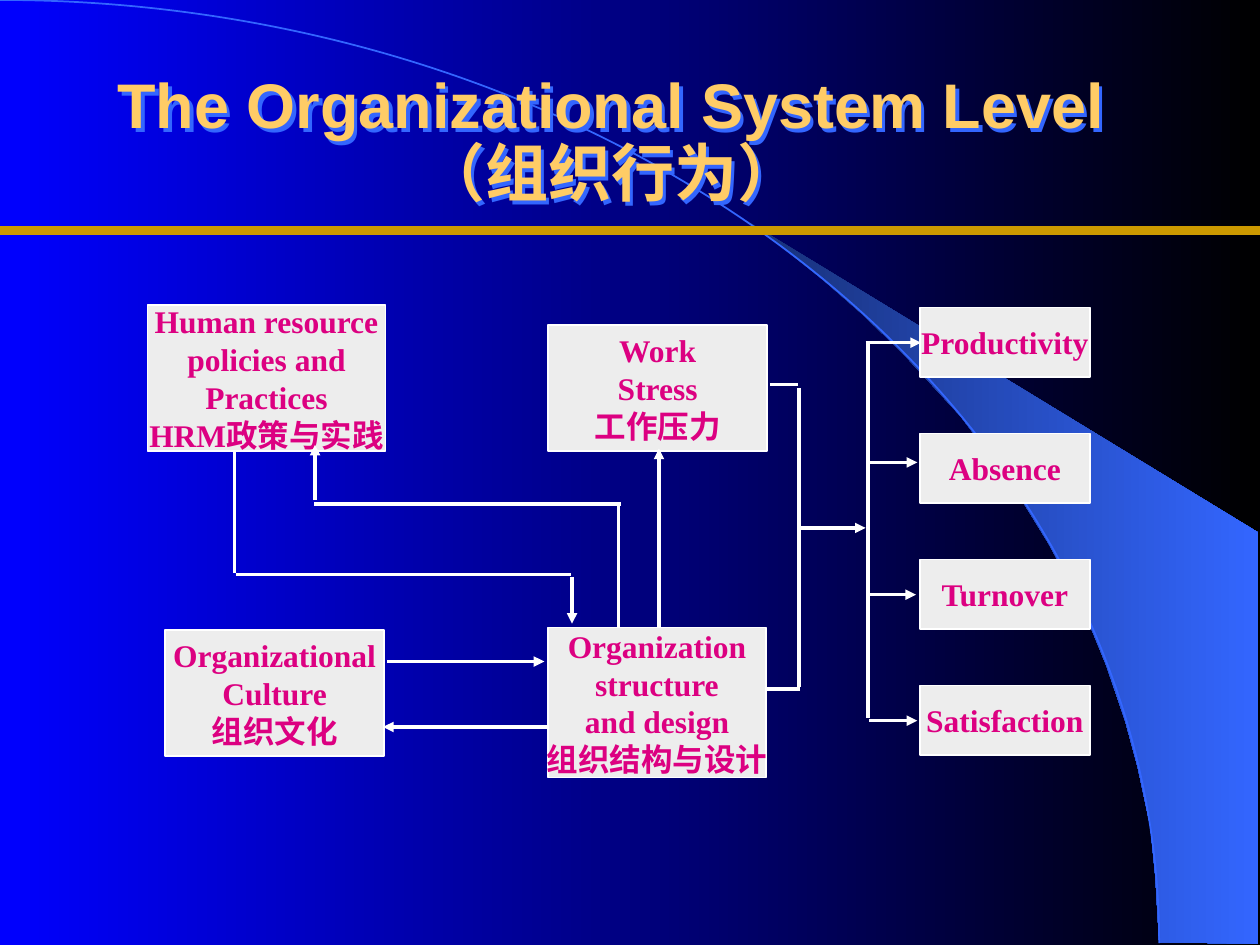
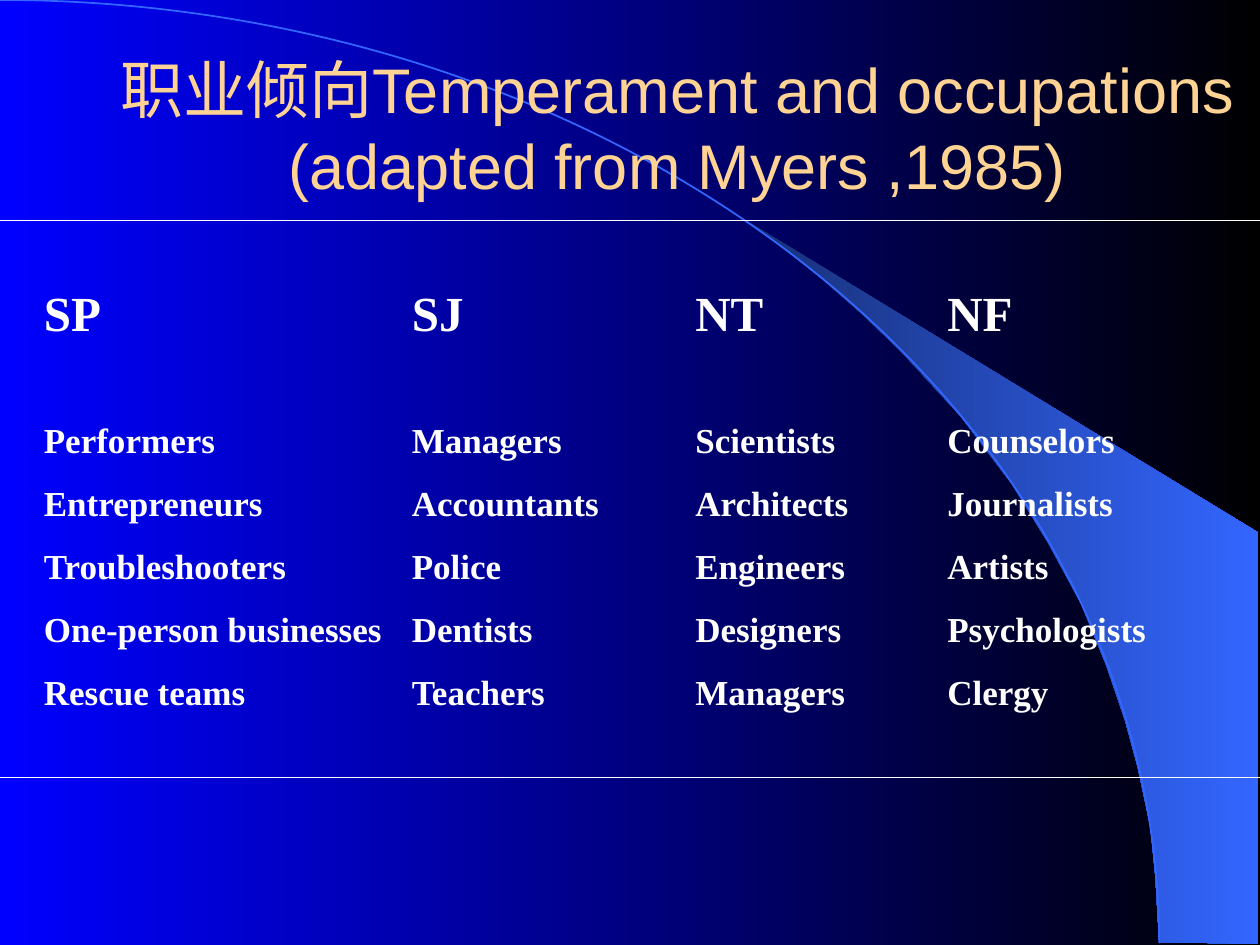
from dataclasses import dataclass

from lxml.etree import SubElement
from pptx import Presentation
from pptx.dml.color import RGBColor
from pptx.dml.fill import FillFormat
from pptx.enum.shapes import MSO_CONNECTOR, MSO_SHAPE
from pptx.enum.text import MSO_ANCHOR, MSO_AUTO_SIZE, PP_ALIGN
from pptx.oxml.ns import qn
from pptx.presentation import Presentation as PresentationType
from pptx.shapes.base import BaseShape
from pptx.slide import Slide
from pptx.text.text import Font, TextFrame
from pptx.util import Inches, Pt

BLUE = RGBColor(0x00, 0x00, 0xFF)
BLACK = RGBColor(0x00, 0x00, 0x00)
WHITE = RGBColor(0xFF, 0xFF, 0xFF)
SKY = RGBColor(0x33, 0x66, 0xFF)
NAVY = RGBColor(0x17, 0x2F, 0x75)
AMBER = RGBColor(0xFF, 0xCC, 0x66)
PEACH = RGBColor(0xFF, 0xD3, 0x93)
GOLD = RGBColor(0xCC, 0x99, 0x00)
PALE_GRAY = RGBColor(0xED, 0xED, 0xED)
MAGENTA = RGBColor(0xDC, 0x00, 0x81)

TITLE_FONT = {"name": "Arial", "size": Pt(36)}
BODY_FONT = {"name": "Times New Roman", "bold": True}
TITLE_ONLY_LAYOUT = 5

WEDGE_OUTLINE = [
    (9.2, 7.48), (9.99, 7.49), (9.99, 4.23), (5.89, 1.73), (6.24, 1.99), (6.53, 2.22),
    (6.85, 2.5), (7.16, 2.8), (7.62, 3.3), (8.03, 3.84), (8.32, 4.31), (8.58, 4.79),
    (8.78, 5.28), (8.93, 5.72), (9.03, 6.09), (9.13, 6.56), (9.17, 6.96),
]


@dataclass
class Area:
    left: float
    top: float
    width: float
    height: float

    def lengths(self) -> list[int]:
        return [Inches(v) for v in (self.left, self.top, self.width, self.height)]


@dataclass
class Box:
    area: Area
    lines: list[str]


@dataclass
class Line:
    x1: float
    y1: float
    x2: float
    y2: float
    arrow: bool = False


@dataclass
class Column:
    left: float
    width: float
    temperament: str
    occupations: list[str]


FACTOR_BOXES = [
    Box(Area(1.17, 2.42, 1.89, 1.16),
        ["Human resource", "policies and", "Practices", "HRM政策与实践"]),
    Box(Area(1.31, 5, 1.74, 1), ["Organizational", "Culture", "组织文化"]),
    Box(Area(4.35, 2.58, 1.74, 1), ["Work", "Stress", "工作压力"]),
    Box(Area(4.35, 4.98, 1.73, 1.19),
        ["Organization", "structure", "and design", "组织结构与设计"]),
]
OUTCOME_BOXES = [
    Box(Area(7.3, 2.44 + row, 1.35, 0.55), [outcome])
    for row, outcome in enumerate(["Productivity", "Absence", "Turnover", "Satisfaction"])
]
FLOW_LINES = [
    # outcomes branch
    Line(6.87, 2.72, 7.31, 2.72, True),
    Line(6.89, 2.73, 6.89, 5.7),
    Line(6.9, 5.72, 7.28, 5.72, True),
    Line(6.9, 4.72, 7.27, 4.72, True),
    Line(6.9, 3.67, 7.28, 3.67, True),
    # bracket joining stress and structure
    Line(6.11, 3.05, 6.33, 3.05),
    Line(6.34, 3.08, 6.34, 5.45),
    Line(6.35, 5.47, 6.09, 5.47),
    Line(6.36, 4.19, 6.87, 4.19, True),
    # structure to stress
    Line(5.23, 4.98, 5.23, 3.56, True),
    # structure to policies
    Line(4.91, 4.98, 4.91, 4),
    Line(4.93, 4, 2.49, 4),
    Line(2.5, 3.97, 2.5, 3.53, True),
    # policies to structure
    Line(1.86, 3.59, 1.86, 4.55),
    Line(1.87, 4.56, 4.53, 4.56),
    Line(4.54, 4.58, 4.54, 4.95, True),
    # culture and structure
    Line(3.07, 5.25, 4.32, 5.25, True),
    Line(4.36, 5.77, 3.04, 5.77, True),
]
COLUMNS = [
    Column(0.25, 3, "SP", ["Performers", "Entrepreneurs", "Troubleshooters",
                           "One-person businesses", "Rescue teams"]),
    Column(3.17, 1.75, "SJ", ["Managers", "Accountants", "Police", "Dentists", "Teachers"]),
    Column(5.42, 1.67, "NT", ["Scientists", "Architects", "Engineers", "Designers",
                              "Managers"]),
    Column(7.42, 1.92, "NF", ["Counselors", "Journalists", "Artists", "Psychologists",
                              "Clergy"]),
]


def format_font(font: Font, color: RGBColor, **values) -> None:
    for name, value in values.items():
        setattr(font, name, value)
    font.color.rgb = color


def format_frame(frame: TextFrame, wrap: bool, anchor: MSO_ANCHOR) -> None:
    values = {"word_wrap": wrap, "vertical_anchor": anchor, "auto_size": MSO_AUTO_SIZE.NONE}
    for name, value in values.items():
        setattr(frame, name, value)


def fill_gradient(fill: FillFormat, left: RGBColor, right: RGBColor) -> None:
    fill.gradient()
    fill.gradient_angle = 0
    for stop, color in zip(fill.gradient_stops, (left, right)):
        stop.color.rgb = color


def decorate_master(presentation: PresentationType, slide: Slide) -> None:
    """Draw the wedge and arc, then move them to the master so every slide shows them."""
    master = presentation.slide_master
    fill_gradient(master.background.fill, BLUE, BLACK)

    points = [(Inches(x), Inches(y)) for x, y in WEDGE_OUTLINE]
    builder = slide.shapes.build_freeform(*points[0])
    builder.add_line_segments(points[1:], close=True)
    wedge = builder.convert_to_shape()
    fill_gradient(wedge.fill, NAVY, SKY)
    wedge.line.fill.background()

    arc = slide.shapes.add_shape(MSO_SHAPE.ARC, *Area(-9.2, 0, 18.4, 14.97).lengths())
    arc.fill.background()
    arc.line.color.rgb = SKY
    arc.line.width = Pt(1)

    for shape in (wedge, arc):
        shape.shadow.inherit = False
        master.shapes._spTree.append(shape._element)


def add_title(slide: Slide, area: Area, lines: list[str], color: RGBColor,
              bold: bool = False, spacing: float = 1.0) -> BaseShape:
    title = slide.shapes.title
    title.left, title.top, title.width, title.height = area.lengths()
    format_frame(title.text_frame, True, MSO_ANCHOR.MIDDLE)
    paragraph = title.text_frame.paragraphs[0]
    paragraph.alignment = PP_ALIGN.CENTER
    paragraph.line_spacing = spacing
    for index, line in enumerate(lines):
        if index:
            paragraph.add_line_break()
        run = paragraph.add_run()
        run.text = line
        format_font(run.font, color, bold=bold, **TITLE_FONT)
    return title


def add_title_shadow(title: BaseShape, color: RGBColor) -> None:
    effects = SubElement(title._element.spPr, qn("a:effectLst"))
    shadow = SubElement(effects, qn("a:outerShdw"), dist=str(Inches(0.04)), dir="2700000",
                        algn="ctr", rotWithShape="0")
    SubElement(shadow, qn("a:srgbClr"), val=str(color))


def add_box(slide: Slide, box: Box) -> None:
    shape = slide.shapes.add_shape(MSO_SHAPE.RECTANGLE, *box.area.lengths())
    shape.shadow.inherit = False
    shape.fill.solid()
    shape.fill.fore_color.rgb = PALE_GRAY
    shape.line.color.rgb = WHITE
    shape.line.width = Pt(1)
    frame = shape.text_frame
    format_frame(frame, False, MSO_ANCHOR.MIDDLE)
    for index, line in enumerate(box.lines):
        paragraph = frame.add_paragraph() if index else frame.paragraphs[0]
        paragraph.text = line
        paragraph.alignment = PP_ALIGN.CENTER
        format_font(paragraph.font, MAGENTA, size=Pt(18), **BODY_FONT)


def add_line(slide: Slide, line: Line, color: RGBColor, width: float) -> None:
    ends = [Inches(v) for v in (line.x1, line.y1, line.x2, line.y2)]
    connector = slide.shapes.add_connector(MSO_CONNECTOR.STRAIGHT, *ends)
    connector.line.color.rgb = color
    connector.line.width = Pt(width)
    if line.arrow:
        SubElement(connector.line._get_or_add_ln(), qn("a:tailEnd"), type="triangle")
    SubElement(connector._element.spPr, qn("a:effectLst"))


def add_rule(slide: Slide, y: float, color: RGBColor, width: float) -> None:
    add_line(slide, Line(0, y, 10, y), color, width)


def add_column(slide: Slide, column: Column) -> None:
    area = Area(column.left, 2.19, column.width, 3.55)
    frame = slide.shapes.add_textbox(*area.lengths()).text_frame
    format_frame(frame, True, MSO_ANCHOR.TOP)
    heading = frame.paragraphs[0]
    heading.text = column.temperament
    heading.space_after = Pt(32)
    format_font(heading.font, WHITE, size=Pt(28), **BODY_FONT)
    for occupation in column.occupations:
        paragraph = frame.add_paragraph()
        paragraph.text = occupation
        paragraph.line_spacing = 1.5
        format_font(paragraph.font, WHITE, size=Pt(20), **BODY_FONT)


def build_system_level(slide: Slide) -> None:
    title = add_title(slide, Area(0.39, 0.67, 8.92, 0.92),
                      ["The Organizational System Level", "（组织行为）"],
                      AMBER, bold=True, spacing=0.9)
    add_title_shadow(title, SKY)
    for box in FACTOR_BOXES + OUTCOME_BOXES:
        add_box(slide, box)
    for line in FLOW_LINES:
        add_line(slide, line, WHITE, 2)
    add_rule(slide, 1.83, GOLD, 5.25)


def build_temperaments(slide: Slide) -> None:
    add_title(slide, Area(0.75, 0.38, 9.25, 1.25),
              ["职业倾向Temperament and occupations (adapted from Myers ,1985)"], PEACH)
    for y in (1.75, 6.17):
        add_rule(slide, y, WHITE, 1)
    for column in COLUMNS:
        add_column(slide, column)


def main() -> None:
    presentation = Presentation()
    presentation.slide_width = Inches(10)
    presentation.slide_height = Inches(7.5)
    layout = presentation.slide_layouts[TITLE_ONLY_LAYOUT]
    system_slide, temperament_slide = [presentation.slides.add_slide(layout) for _ in range(2)]
    decorate_master(presentation, system_slide)
    build_system_level(system_slide)
    build_temperaments(temperament_slide)
    presentation.save("out.pptx")


if __name__ == "__main__":
    main()
